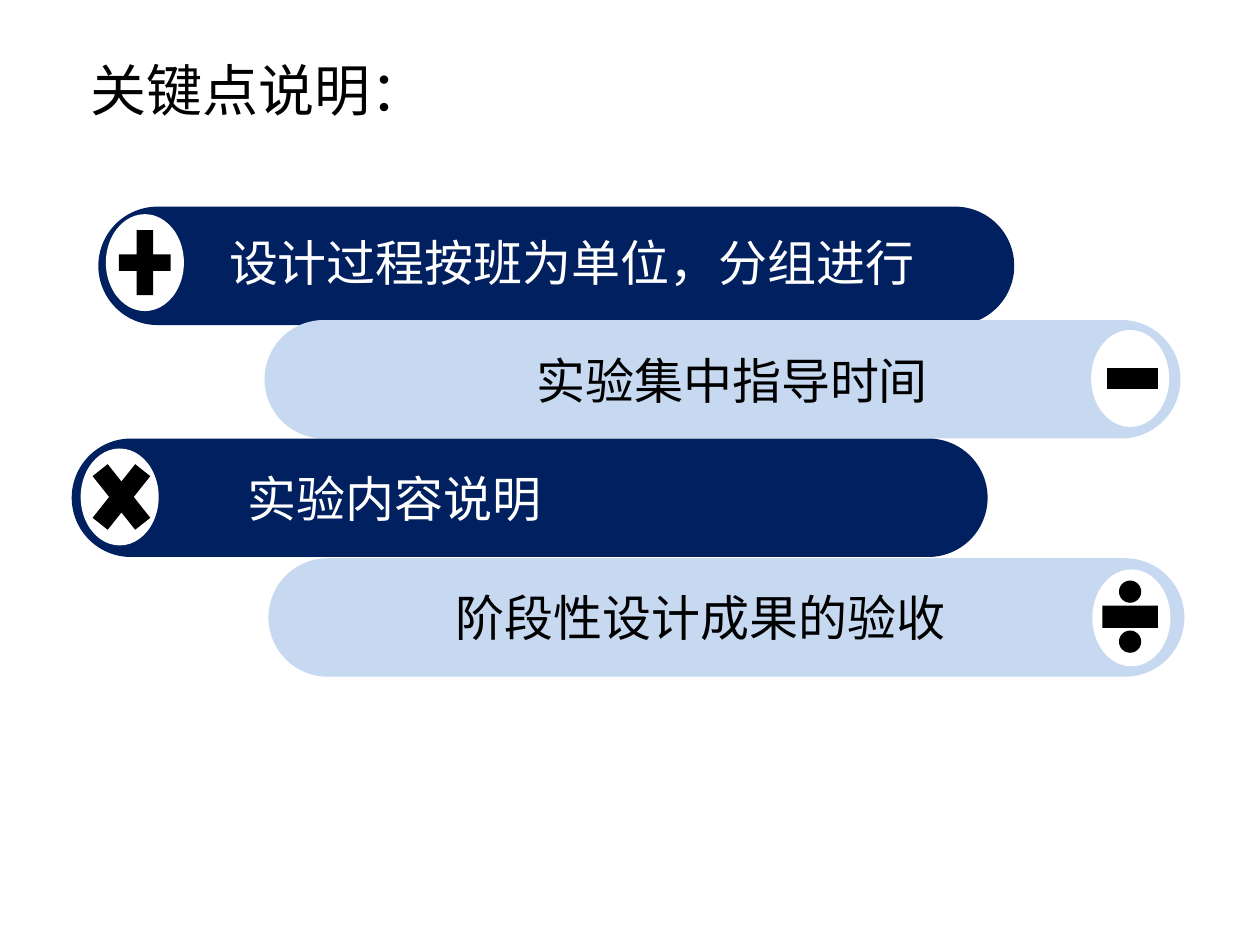
import pptx
import pptx.util
import pptx.dml.color
import pptx.enum.shapes
import pptx.enum.text
import pptx.oxml.ns
import lxml.etree

Pt = pptx.util.Pt
RGB = pptx.dml.color.RGBColor.from_string
Kind = pptx.enum.shapes.MSO_SHAPE

theme = {
    "font": "Noto Sans CJK SC",
    "title": 32,
    "label": 28,
    "navy": "002060",
    "pale": "C6D9F1",
    "white": "FFFFFF",
    "black": "000000",
}

deck = pptx.Presentation()
deck.slide_width, deck.slide_height = Pt(720), Pt(540)
slide = deck.slides.add_slide(deck.slide_layouts[5])


def draw(kind, left, top, size, color):
    shape = slide.shapes.add_shape(kind, Pt(left), Pt(top), *map(Pt, size))
    shape.shadow.inherit = False
    shape.fill.solid()
    shape.fill.fore_color.rgb = RGB(theme[color])
    shape.line.fill.background()
    return shape


def write(box, text, size, color):
    frame = box.text_frame
    frame.text = text
    frame.word_wrap = True
    frame.vertical_anchor = pptx.enum.text.MSO_ANCHOR.TOP
    para = frame.paragraphs[0]
    para.alignment = pptx.enum.text.PP_ALIGN.LEFT
    font = para.font
    font.name = theme["font"]
    font.size = Pt(theme[size])
    font.color.rgb = RGB(theme[color])
    # Chinese characters take their typeface from a:ea
    east = lxml.etree.SubElement(font._element, pptx.oxml.ns.qn("a:ea"))
    east.set("typeface", theme["font"])


title = slide.shapes.title
title.left, title.top, title.width, title.height = map(Pt, (44.6, 28, 208, 46))
write(title, "关键点说明：", "title", "black")

pill = (523.4, 67.7)
disc = (44.6, 55.4)
high = 41

# pill left, top; disc left, top; sign, its size and centre offset;
# label left, top, width; text
rows = [
    (56.2, 118.1, 60.5, 122.4, Kind.MATH_PLUS, (40.3, 50.4), (0, 0),
     123.8, 129.6, 431.3, "设计过程按班为单位，分组进行"),
    (151.2, 182.9, 623.5, 188.6, Kind.MATH_MINUS, (40.3, 49.7), (1.4, 0),
     299.5, 196.6, 273.6, "实验集中指导时间"),
    (41, 250.6, 46.1, 256.3, Kind.MATH_MULTIPLY, (46.8, 59), (1, 0),
     134.6, 264.2, 279.4, "实验内容说明"),
    (153.4, 319, 624.2, 325.4, Kind.MATH_DIVIDE, (43.2, 54), (-0.7, -0.7),
     253.4, 331.9, 307.4, "阶段性设计成果的验收"),
]

for i, row in enumerate(rows):
    left, top, x, y, sign, size, shift, start, head, wide, text = row
    fill, ink = ("pale", "black") if i % 2 else ("navy", "white")
    bar = draw(Kind.ROUNDED_RECTANGLE, left, top, pill, fill)
    bar.adjustments[0] = 0.5
    draw(Kind.OVAL, x, y, disc, "white")
    draw(sign, x + (disc[0] - size[0]) / 2 + shift[0],
         y + (disc[1] - size[1]) / 2 + shift[1], size, "black")
    box = slide.shapes.add_textbox(Pt(start), Pt(head), Pt(wide), Pt(high))
    write(box, text, "label", ink)

deck.save("out.pptx")
